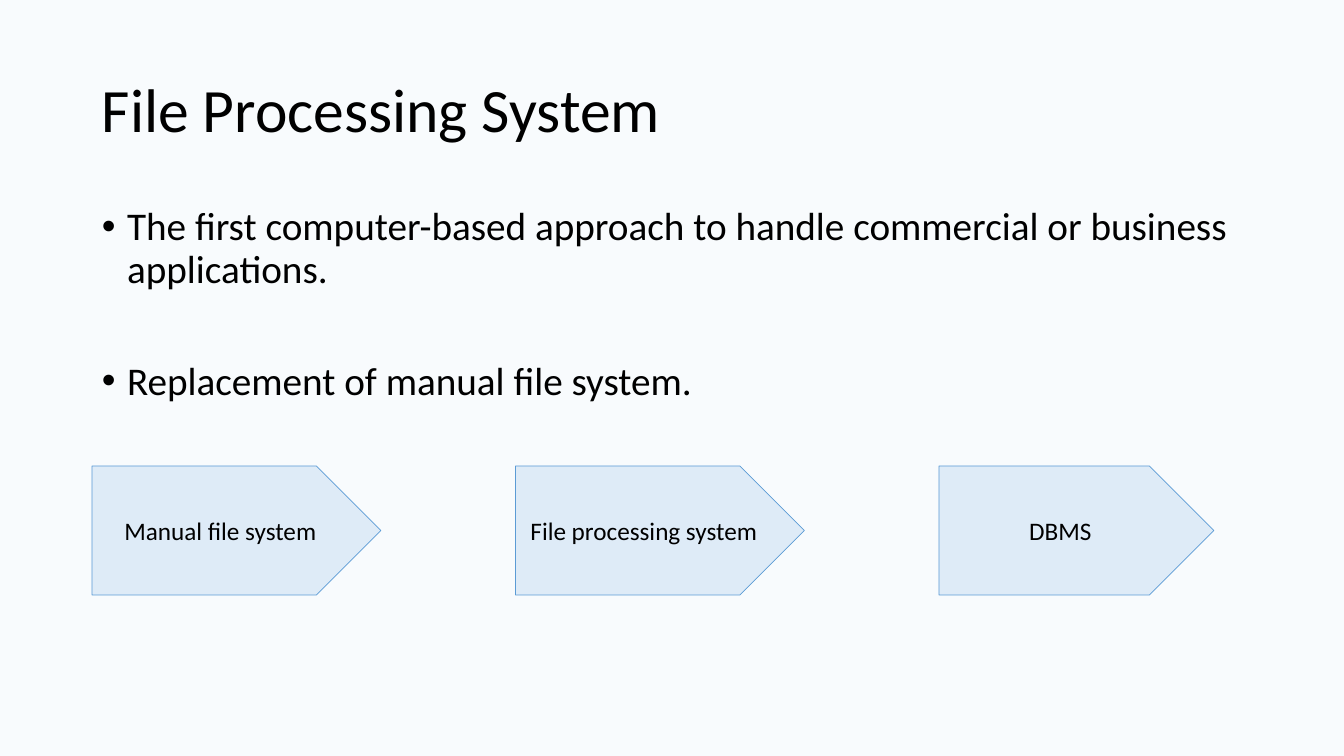
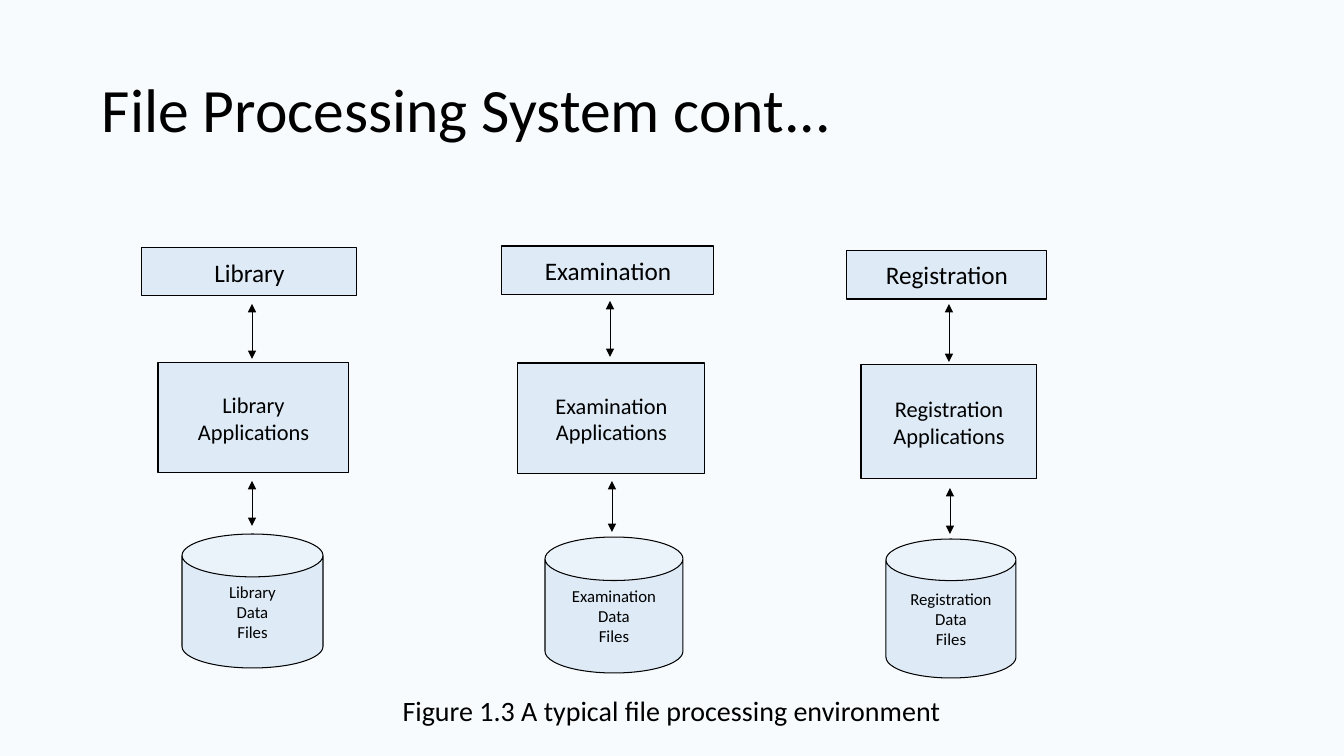
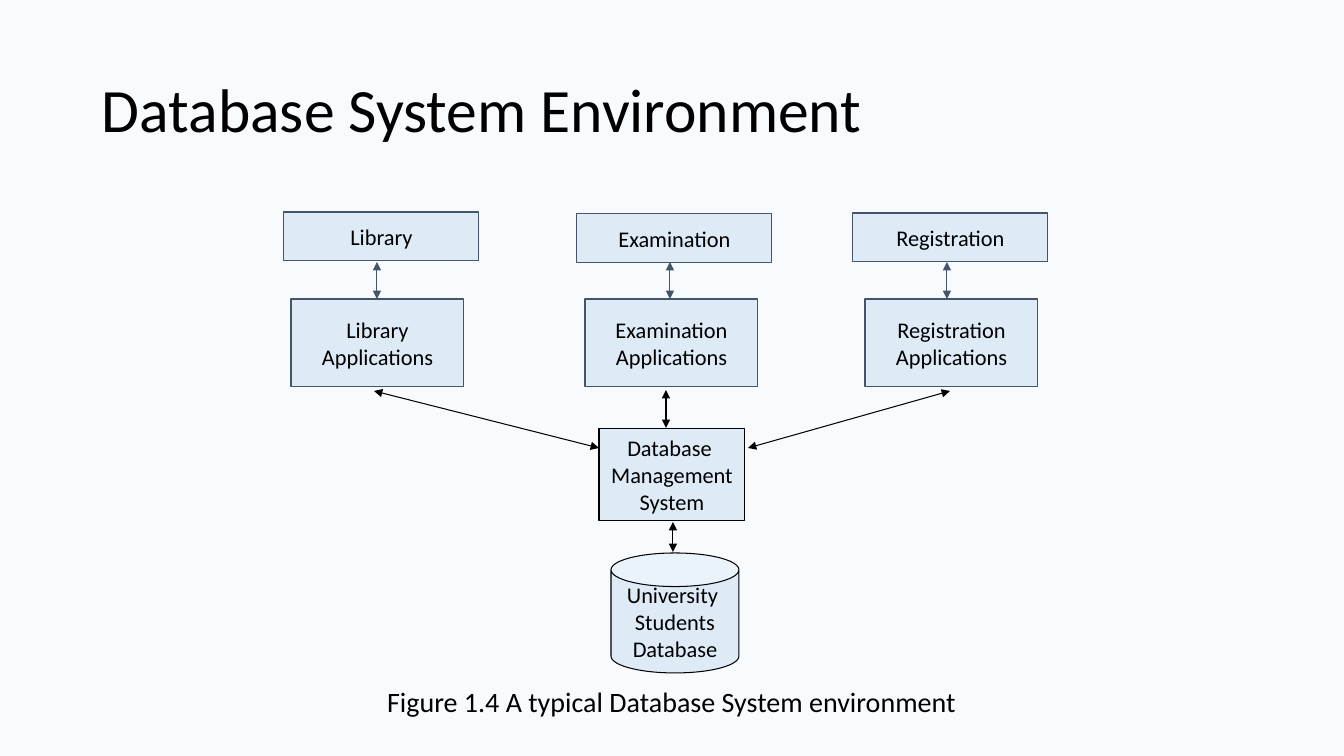
"""Build three slides on file processing and database systems."""
from pptx import Presentation
from pptx import util as u
from pptx.dml.color import RGBColor
from pptx.enum import shapes, text
from pptx.oxml.ns import qn
from lxml import etree

PX = 914400 / 100.8
FONT, BACK, PALE = "Calibri", "F8FBFD", "DEEBF7"
BLACK, SLATE, BLUE = "000000", "44546A", "5B9BD5"
LEFT, WIDE = 92, 1159
RECT, CAN, PLATE = (shapes.MSO_SHAPE.RECTANGLE, shapes.MSO_SHAPE.CAN,
                    shapes.MSO_SHAPE.PENTAGON)
TOP, MID = text.MSO_ANCHOR.TOP, text.MSO_ANCHOR.MIDDLE
CENTER = text.PP_ALIGN.CENTER

POINTS = [
    ("The first computer-based approach to handle commercial or business applications.", 10),
    ("Replacement of manual file system.", 50),
]
STAGES = [("Manual file system", 289), ("File processing system", 289), ("DBMS", 275)]

# name, head box, application box, data can, arrows as (x, top, bottom)
FILES = [
    ("Library", (142, 248, 215, 48), (158, 363, 191, 110), (182, 534, 141, 134),
     [(252, 304, 359), (252, 481, 526)]),
    ("Examination", (502, 246, 212, 49), (518, 363, 187, 111), (545, 537, 138, 136),
     [(610, 301, 357), (612, 481, 532)]),
    ("Registration", (847, 250, 200, 49), (861, 365, 176, 114), (886, 539, 130, 139),
     [(949, 304, 362), (950, 488, 534)]),
]

# name, head left and top, application left, arrow x
USERS = [
    ("Library", 284, 212, 291, 377),
    ("Examination", 577, 214, 585, 670),
    ("Registration", 853, 213, 865, 947),
]
LINKS = [(374, 391, 599, 448), (666, 390, 666, 428), (950, 391, 748, 448),
         (673, 522, 673, 552)]


def px(*nums):
    """Turn pixels into EMU."""
    return [u.Emu(round(n * PX)) for n in nums]


def rgb(code):
    """Turn a hex string into a colour."""
    return RGBColor.from_string(code)


def write(frame, lines, size, align=None, ratio=None):
    """Fill a text frame with one paragraph a line."""
    for i, line in enumerate(lines):
        para = frame.paragraphs[0] if i == 0 else frame.add_paragraph()
        para.text = line
        para.font.size, para.font.name = u.Pt(size), FONT
        para.font.color.rgb = rgb(BLACK)
        para.alignment, para.line_spacing = align, ratio


def block(slide, at, lines, size, align=None, anchor=TOP):
    """Add a wrapped text box."""
    frame = slide.shapes.add_textbox(*px(*at)).text_frame
    frame.word_wrap, frame.vertical_anchor = True, anchor
    write(frame, lines, size, align, 0.9)
    return frame


def shape(slide, kind, at, lines, size, edge=BLACK, width=0.75, wrap=False, anchor=MID):
    """Add a pale outlined shape with centred text."""
    item = slide.shapes.add_shape(kind, *px(*at))
    item.shadow.inherit = False
    item.fill.solid()
    item.fill.fore_color.rgb = rgb(PALE)
    item.line.color.rgb, item.line.width = rgb(edge), u.Pt(width)
    frame = item.text_frame
    frame.word_wrap, frame.vertical_anchor = wrap, anchor
    write(frame, lines, size, CENTER)
    return item


def arrow(slide, ends, edge=BLACK, width=0.75):
    """Add a line with a triangle at both ends."""
    item = slide.shapes.add_connector(shapes.MSO_CONNECTOR.STRAIGHT, *px(*ends))
    item.line.color.rgb, item.line.width = rgb(edge), u.Pt(width)
    line = item.line._get_or_add_ln()
    for tag in ("a:headEnd", "a:tailEnd"):
        etree.SubElement(line, qn(tag), type="triangle")
    etree.SubElement(item._element.spPr, qn("a:effectLst"))


def page(title):
    """Add a titled slide."""
    slide = deck.slides.add_slide(deck.slide_layouts[6])
    block(slide, (LEFT, 40, WIDE, 146), [title], 44, anchor=MID)
    return slide


def caption(slide, top, line):
    """Add a centred figure caption."""
    frame = block(slide, (LEFT, top, WIDE, 52), [line], 20, CENTER)
    frame.paragraphs[0].space_before = u.Pt(10)


def stages():
    """Build the slide of points and stages."""
    slide = page("File Processing System")
    frame = block(slide, (LEFT, 202, WIDE, 480), [line for line, _ in POINTS], 28)
    for para, (_, gap) in zip(frame.paragraphs, POINTS):
        para.space_before = u.Pt(gap)
        props = para._p.get_or_add_pPr()
        props.set("marL", str(u.Inches(0.25)))
        props.set("indent", str(-u.Inches(0.25)))
        etree.SubElement(props, qn("a:buFont"), typeface="Arial")
        etree.SubElement(props, qn("a:buChar"), char="•")
    for i, (name, wide) in enumerate(STAGES):
        shape(slide, PLATE, (LEFT + 423.5 * i, 466, wide, 129), [name], 18,
              BLUE, 0.5, True)


def files():
    """Build the slide of separate file systems."""
    slide = page("File Processing System cont...")
    caption(slide, 692, "Figure 1.3 A typical file processing environment")
    for name, head, app, data, arrows in FILES:
        shape(slide, RECT, head, [name], 18)
        shape(slide, RECT, app, [name, "Applications"], 16)
        can = shape(slide, CAN, data, [name, "Data", "Files"], 12)
        can.adjustments[0] = 0.32
        for x, top, end in arrows:
            arrow(slide, (x, top, x, end), width=0.5)


def shared():
    """Build the slide of one shared database."""
    slide = page("Database System Environment")
    caption(slide, 683, "Figure 1.4 A typical Database System environment")
    for name, left, top, app, x in USERS:
        shape(slide, RECT, (left, top, 195, 49), [name], 16, SLATE)
        shape(slide, RECT, (app, 299, 173, 88), [name, "Applications"], 16, SLATE)
        arrow(slide, (x, 262, x, 299), SLATE)
    shape(slide, RECT, (599, 429, 146, 92), ["Database ", "Management", "System"], 16,
          anchor=TOP)
    can = shape(slide, CAN, (611, 553, 128, 120),
                ["University ", "Students", "Database"], 16)
    can.adjustments[0] = 0.28
    for ends in LINKS:
        arrow(slide, ends)


deck = Presentation()
deck.slide_width, deck.slide_height = px(1344, 756)
fill = deck.slide_master.background.fill
fill.solid()
fill.fore_color.rgb = rgb(BACK)
stages()
files()
shared()
deck.save("out.pptx")
